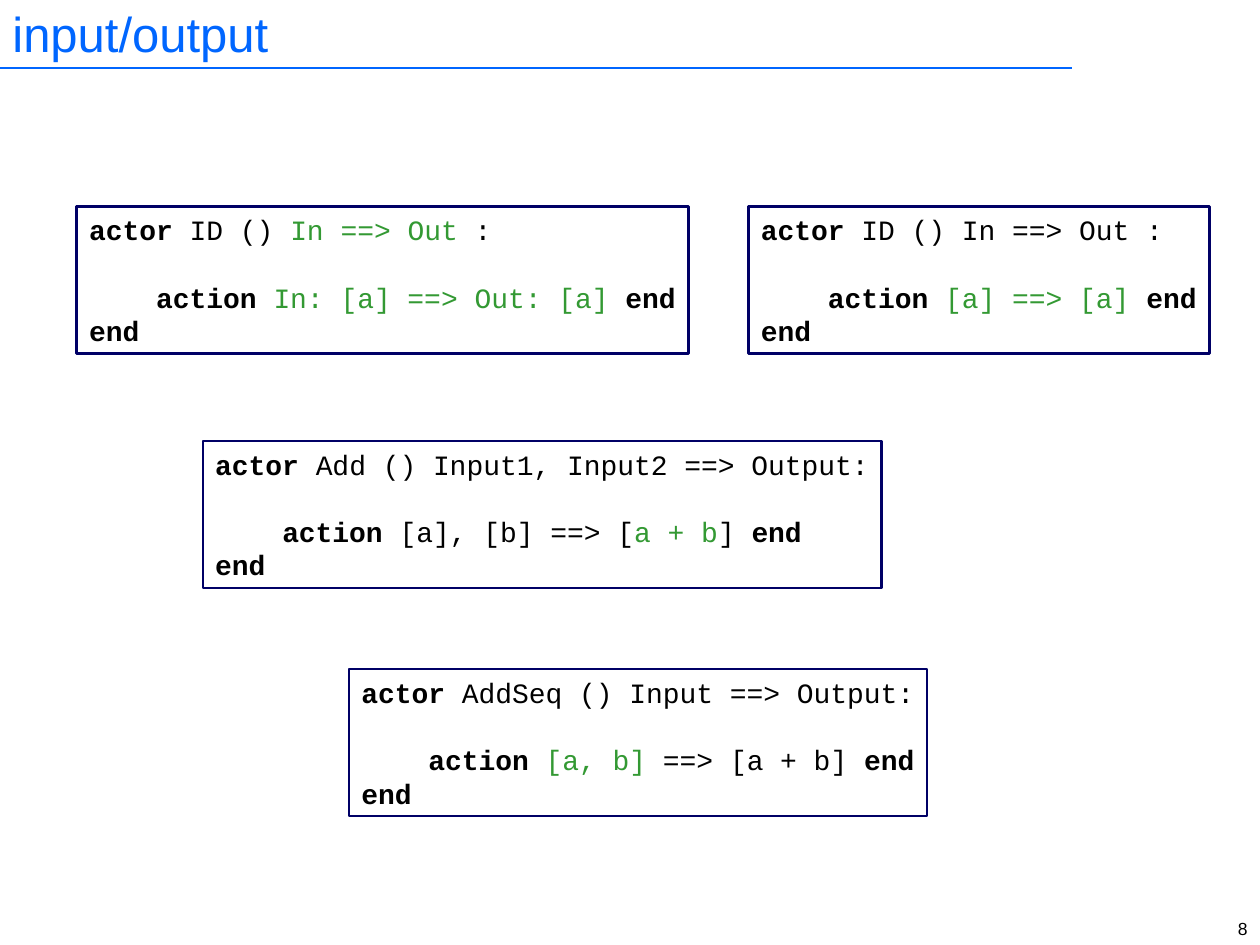
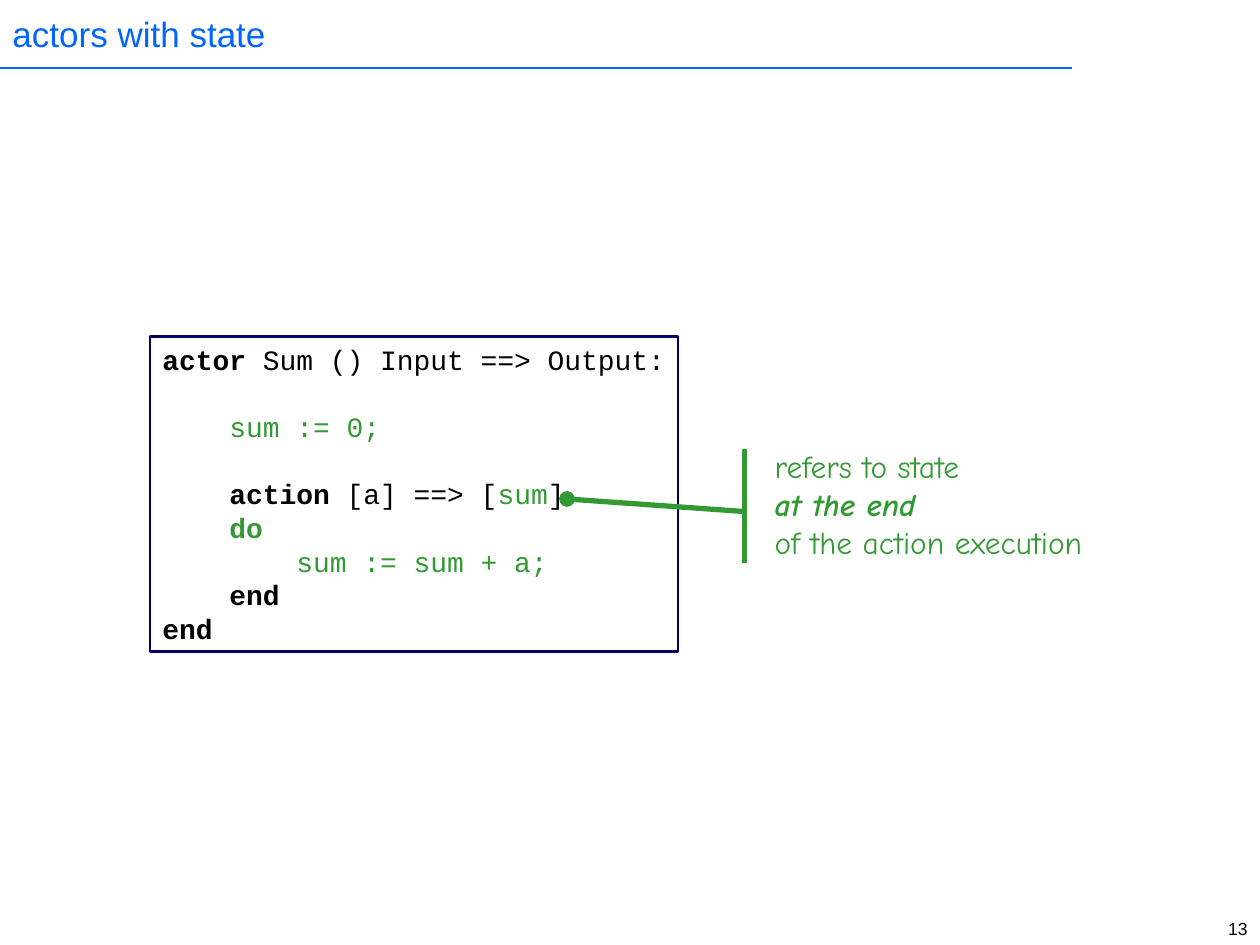
from collections import namedtuple

from lxml.etree import SubElement
from pptx import Presentation
from pptx.dml.color import RGBColor
from pptx.enum.shapes import MSO_CONNECTOR as Conn, MSO_SHAPE as Shape
from pptx.enum.text import MSO_ANCHOR as Anchor, PP_ALIGN as Align
from pptx.oxml.ns import qn
from pptx.util import Inches, Pt

BLUE = RGBColor(0x00, 0x66, 0xFF)
NAVY = RGBColor(0x00, 0x00, 0x66)
GREEN = RGBColor(0x33, 0x99, 0x33)
BLACK = RGBColor(0x00, 0x00, 0x00)
WHITE = RGBColor(0xFF, 0xFF, 0xFF)

SANS, MONO, HAND = "Arial", "Courier New", "Comic Neue"

WIDTH, HEIGHT = Inches(10), Inches(7.5)
COLS, ROWS = 100, 75

# Code metrics: one character in columns, one line in rows, the padding in both
CODE = 16
CHAR, LINE, PAD = 1.33, 2.67, 1
TAB = 4

Row = namedtuple("Row", "runs tab gap")


def row(*runs, tab=0, gap=0):
    """A line of code: (text, style) runs, its indent level and blank lines above.

    In a style, b is bold and g is green.
    """
    return Row(runs, tab, gap)


END = row(("end", "b"))


def col(n):
    return round(WIDTH * n / COLS)


def down(n):
    return round(HEIGHT * n / ROWS)


def place(x, y, w, h):
    return col(x), down(y), col(w), down(h)


def style(font, name, size, color):
    font.name, font.size = name, Pt(size)
    font.color.rgb = color


def draw_line(shapes, start, end, color, width, head=None):
    line = shapes.add_connector(Conn.STRAIGHT, col(start[0]), down(start[1]),
                                col(end[0]), down(end[1]))
    line.line.color.rgb = color
    line.line.width = Pt(width)
    props = line.element.spPr
    if head:
        SubElement(props.find(qn("a:ln")), qn("a:headEnd"), type=head)
    SubElement(props, qn("a:effectLst"))


def add_text(shapes, area, lines, name, size, color,
             anchor=Anchor.MIDDLE, align=Align.LEFT):
    """Add a text box and return its paragraphs."""
    frame = shapes.add_textbox(*place(*area)).text_frame
    frame.word_wrap = True
    frame.vertical_anchor = anchor
    frame.text = "\n".join(lines)
    for para in frame.paragraphs:
        para.alignment = align
        style(para.font, name, size, color)
    return frame.paragraphs


def add_code(shapes, x, y, rows):
    """Add a framed listing, sized by its longest line and its line count."""
    chars = max(TAB * r.tab + sum(len(text) for text, _ in r.runs) for r in rows)
    count = sum(1 + r.gap for r in rows)
    box = shapes.add_shape(Shape.RECTANGLE, *place(
        x, y, chars * CHAR + 2 * PAD, count * LINE + PAD))
    box.shadow.inherit = False
    box.fill.solid()
    box.fill.fore_color.rgb = WHITE
    box.line.color.rgb = NAVY
    box.line.width = Pt(1.5)
    frame = box.text_frame
    frame.word_wrap = True
    frame.margin_right = 0
    frame.vertical_anchor = Anchor.TOP
    for i, item in enumerate(rows):
        para = frame.add_paragraph() if i else frame.paragraphs[0]
        fill_row(para, item)


def fill_row(para, item):
    para.alignment = Align.LEFT
    para.space_before = Pt(down(item.gap * LINE) / Pt(1))
    props = para._p.get_or_add_pPr()
    props.set("marL", str(col(item.tab * TAB * CHAR)))
    props.set("indent", "0")
    for text, marks in item.runs:
        run = para.add_run()
        run.text = text
        style(run.font, MONO, CODE, GREEN if "g" in marks else BLACK)
        run.font.bold = "b" in marks


def add_note(shapes, tip, x, y):
    """Add a remark beside a bar, with a pointer from tip to the bar."""
    group = shapes.add_group_shape().shapes
    lines = add_text(group, (x + 1.4, y - 0.6, 26.4, 10),
                     ["refers to state", "at the end",
                      "of the action execution"], HAND, 18, GREEN)
    lines[1].font.bold = lines[1].font.italic = True
    draw_line(group, (x, y), (x, y + 9.1), GREEN, 3)
    draw_line(group, tip, (x, y + 5), GREEN, 3, "oval")


def add_page(deck, title, size, number):
    shapes = deck.slides.add_slide(deck.slide_layouts[6]).shapes
    draw_line(shapes, (0, 5.4), (85.1, 5.4), BLUE, 1)
    add_text(shapes, (0, 0, 86.5, 5.3), [title], SANS, size, BLUE)
    add_text(shapes, (90.7, 72.4, 9.3, 2.3), [str(number)], SANS, 10, BLACK,
             Anchor.TOP, Align.RIGHT)
    return shapes


def add_ports(deck):
    page = add_page(deck, "input/output", 28, 8)
    add_code(page, 6.1, 16.4, [
        row(("actor ", "b"), ("ID () ", ""), ("In ==> Out", "g"), (" :", "")),
        row(("action ", "b"), ("In: [a] ==> Out: [a] ", "g"), ("end", "b"),
            tab=1, gap=1),
        END])
    add_code(page, 16.1, 35, [
        row(("actor ", "b"), ("Add () Input1, Input2 ==> Output:", "")),
        row(("action", "b"), (" [a], [b] ==> [", ""), ("a + b", "g"),
            ("] ", ""), ("end", "b"), tab=1, gap=1),
        END])
    add_code(page, 59.4, 16.4, [
        row(("actor ", "b"), ("ID () In ==> Out :", "")),
        row(("action ", "b"), ("[a] ==> [a] ", "g"), ("end", "b"),
            tab=1, gap=1),
        END])
    add_code(page, 27.7, 53.1, [
        row(("actor ", "b"), ("AddSeq () Input ==> Output:", "")),
        row(("action ", "b"), ("[a, b]", "g"), (" ==> [a + b] ", ""),
            ("end", "b"), tab=1, gap=1),
        END])


def add_state(deck):
    page = add_page(deck, "actors with state", 20, 13)
    add_code(page, 11.9, 26.7, [
        row(("actor ", "b"), ("Sum () Input ==> Output:", "")),
        row(("sum := 0;", "g"), tab=1, gap=1),
        row(("action", "b"), (" [a] ==> [", ""), ("sum", "g"), ("]", ""),
            tab=1, gap=1),
        row(("do", "bg"), tab=1),
        row(("sum := sum + a;", "g"), tab=2),
        row(("end", "b"), tab=1),
        END])
    add_note(page, (45, 39.6), 59.1, 35.6)


def main():
    deck = Presentation()
    deck.slide_width, deck.slide_height = WIDTH, HEIGHT
    add_ports(deck)
    add_state(deck)
    deck.save("out.pptx")


if __name__ == "__main__":
    main()
